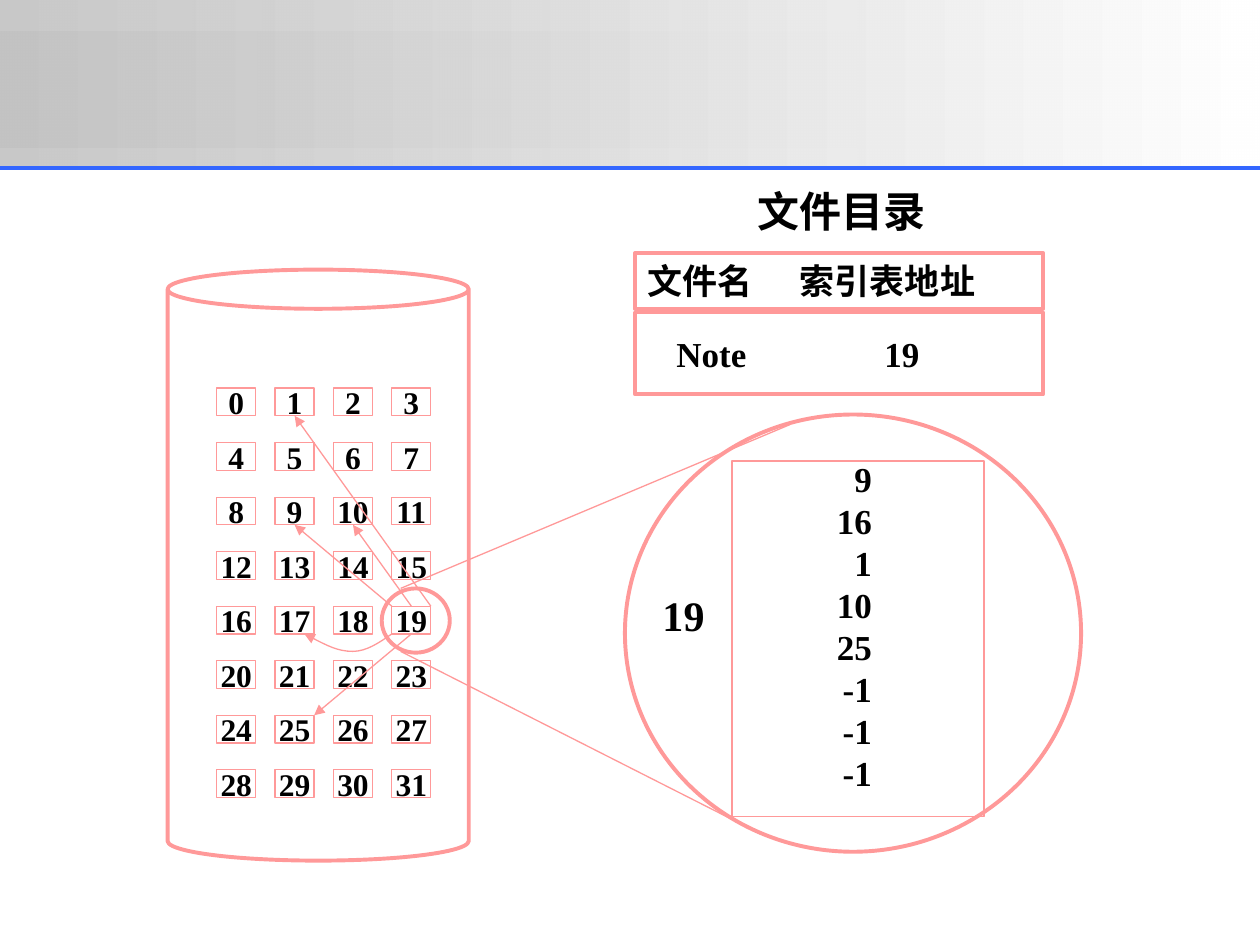
from dataclasses import dataclass
from itertools import product

from lxml.etree import SubElement
from pptx import Presentation
from pptx.dml.color import RGBColor as RGB
from pptx.enum.shapes import MSO_CONNECTOR as LINK, MSO_SHAPE as SHAPE
from pptx.enum.text import MSO_ANCHOR as ANCHOR, MSO_AUTO_SIZE as FIT, PP_ALIGN as ALIGN
from pptx.oxml.ns import qn
from pptx.util import Inches, Pt


@dataclass(frozen=True)
class Theme:
    """Colours, type sizes and line widths of the slide."""
    ink: RGB = RGB(0, 0, 0)
    outline: RGB = RGB(0xFF, 0x99, 0x99)
    rule: RGB = RGB(0x33, 0x66, 0xFF)
    band: RGB = RGB(0xC0, 0xC0, 0xC0)
    paper: RGB = RGB(0xFF, 0xFF, 0xFF)
    font: str = "Times New Roman"
    heading: float = 24
    entry: float = 20
    block: float = 18
    thick: float = 2.25
    thin: float = 0.75


THEME = Theme()
COLUMNS, ROWS = 100, 75
UNIT = Inches(0.1)
BLOCK_COLUMNS, BLOCK_ROWS = 4, 8
BLOCK_WIDTH, BLOCK_HEIGHT = 3.1, 2.2
BLOCK_LEFT, BLOCK_TOP = 17.2, 30.8
COLUMN_PITCH, ROW_PITCH = 13.9 / 3, 30.3 / 7
INDEX_BLOCK = 19
INDEX_ENTRIES = ["9", "16", "1", "10", "25", "-1", "-1", "-1"]


def grid(*cells):
    """Turn grid columns and rows into lengths."""
    return [round(cell * UNIT) for cell in cells]


def apply(target, values):
    """Set every attribute named in a dict of format values."""
    for name, value in values.items():
        setattr(target, name, value)


def style_line(line, color=THEME.outline, width=THEME.thin):
    """Give a line its colour and width."""
    line.color.rgb = color
    line.width = Pt(width)


def add_arrowhead(shape):
    """Put a triangle at the end of a line."""
    SubElement(shape.line._get_or_add_ln(), qn("a:tailEnd"), type="triangle")


def write(paragraph, text, size):
    """Add a bold run to a paragraph."""
    run = paragraph.add_run()
    run.text = text
    apply(run.font, {"name": THEME.font, "size": Pt(size), "bold": True})
    run.font.color.rgb = THEME.ink


def add_outline(slide, kind, box, width=THEME.thin):
    """Add an unfilled preset shape with a coloured outline."""
    shape = slide.shapes.add_shape(kind, *grid(*box))
    shape.shadow.inherit = False
    shape.fill.background()
    style_line(shape.line, width=width)
    return shape


def add_label(slide, text, box, size):
    """Add a one-line text box."""
    label = slide.shapes.add_textbox(*grid(*box))
    write(label.text_frame.paragraphs[0], text, size)
    return label


def set_tab(paragraph, column):
    """Set one left tab stop in a paragraph."""
    stops = SubElement(paragraph._p.get_or_add_pPr(), qn("a:tabLst"))
    SubElement(stops, qn("a:tab"), pos=str(grid(column)[0]), algn="l")


def add_link(slide, start, end, color=THEME.outline, width=THEME.thin):
    """Add a straight line between two grid points."""
    link = slide.shapes.add_connector(LINK.STRAIGHT, *grid(*start, *end))
    style_line(link.line, color, width)
    SubElement(link._element.spPr, qn("a:effectLst"))
    return link


def add_curve(slide, points):
    """Add an open outline whose points are chained cubic curves."""
    first, *others = [grid(*point) for point in points]
    builder = slide.shapes.build_freeform(*first, scale=1.0)
    builder.add_line_segments(others, close=False)
    curve = builder.convert_to_shape()
    outline = next(curve._element.iter(qn("a:path")))
    outline.set("fill", "none")
    steps = outline.findall(qn("a:lnTo"))
    for i in range(0, len(steps), 3):
        bend = SubElement(outline, qn("a:cubicBezTo"))
        for step in steps[i:i + 3]:
            bend.append(step[0])
            outline.remove(step)
    curve.shadow.inherit = False
    curve.fill.background()
    style_line(curve.line)
    return curve


def add_band(slide, box, opacity):
    """Add a band that fades from grey to white."""
    band = slide.shapes.add_shape(SHAPE.RECTANGLE, *grid(*box))
    band.shadow.inherit = False
    band.line.fill.background()
    band.fill.gradient()
    band.fill.gradient_angle = 0
    for stop, color in zip(band.fill.gradient_stops, (THEME.band, THEME.paper)):
        stop.color.rgb = color
    tint = next(band._element.spPr.iter(qn("a:srgbClr")))
    SubElement(tint, qn("a:alpha"), val=str(opacity * 1000))


def block_point(number, across, down):
    """Find a point of a disk block from shares of its width and height."""
    row, column = divmod(number, BLOCK_COLUMNS)
    return (BLOCK_LEFT + column * COLUMN_PITCH + across * BLOCK_WIDTH,
            BLOCK_TOP + row * ROW_PITCH + down * BLOCK_HEIGHT)


def add_header(slide):
    """Draw the fading header and its rule."""
    add_band(slide, (0, 0, COLUMNS, 13.3), 86)
    add_band(slide, (0, 2.5, COLUMNS, 9.2), 59)
    add_link(slide, (0, 13.3), (COLUMNS, 13.3), THEME.rule, THEME.thick)


def add_disk(slide):
    """Draw the disk with its numbered blocks."""
    disk = add_outline(slide, SHAPE.CAN, (13.3, 21.4, 23.9, 46.9), THEME.thick)
    disk.adjustments[0] = 0.13
    for row, column in product(range(BLOCK_ROWS), range(BLOCK_COLUMNS)):
        number = row * BLOCK_COLUMNS + column
        box = (*block_point(number, 0, 0), BLOCK_WIDTH, BLOCK_HEIGHT)
        frame = add_outline(slide, SHAPE.RECTANGLE, box).text_frame
        apply(frame, {"word_wrap": False, "vertical_anchor": ANCHOR.MIDDLE})
        frame.paragraphs[0].alignment = ALIGN.CENTER
        write(frame.paragraphs[0], str(number), THEME.block)


def add_directory(slide):
    """Fill in the file directory and its heading."""
    title = slide.shapes.title
    apply(title, dict(zip(("left", "top", "width", "height"), grid(59.1, 14.2, 16.5, 5))))
    apply(title.text_frame, {"word_wrap": False, "auto_size": FIT.NONE,
                             "vertical_anchor": ANCHOR.TOP})
    title.text_frame.paragraphs[0].alignment = ALIGN.LEFT
    write(title.text_frame.paragraphs[0], "文件目录", THEME.heading)

    names = add_outline(slide, SHAPE.RECTANGLE, (50.4, 20.1, 32.4, 4.4), THEME.thick)
    add_outline(slide, SHAPE.RECTANGLE, (50.4, 24.8, 32.4, 6.5), THEME.thick)
    record = slide.shapes.add_textbox(*grid(52.7, 25.9, 27, 4.4))
    record.text_frame.word_wrap = True
    for holder, text, column in ((names, "文件名\t索引表地址", 12.1),
                                 (record, "Note\t19", 16.5)):
        paragraph = holder.text_frame.paragraphs[0]
        paragraph.alignment = ALIGN.LEFT
        set_tab(paragraph, column)
        write(paragraph, text, THEME.entry)
    names.text_frame.vertical_anchor = ANCHOR.TOP


def add_pointers(slide):
    """Link the index block to the blocks it lists."""
    add_outline(slide, SHAPE.OVAL, (30.3, 46.7, 5.4, 5.1), THEME.thick)
    for start, target, end in (((1, 0), 1, (0.5, 1)), ((0.5, 0), 10, (0.5, 1)),
                               ((0, 0), 9, (0.5, 1)), ((0.5, 1), 25, (1, 0))):
        add_arrowhead(add_link(slide, block_point(INDEX_BLOCK, *start),
                               block_point(target, *end)))
    bend = [(30.1, 51), (29.1, 51.7), (28, 51.7), (26.8, 51.7), (25.5, 51)]
    add_arrowhead(add_curve(slide, [block_point(INDEX_BLOCK, 0, 1), *bend,
                                    block_point(17, 0.75, 1)]))


def add_index_table(slide):
    """Show the enlarged index block and its entries."""
    entries = slide.placeholders[1]
    apply(entries, dict(zip(("left", "top", "width", "height"), grid(62, 35.2, 8.2, 28.4))))
    frame = entries.text_frame
    apply(frame, {"word_wrap": True, "auto_size": FIT.NONE, "margin_top": Inches(0.11),
                  "vertical_anchor": ANCHOR.TOP})
    for i, entry in enumerate(INDEX_ENTRIES):
        paragraph = frame.add_paragraph() if i else frame.paragraphs[0]
        properties = paragraph._p.get_or_add_pPr()
        properties.set("marL", "0")
        properties.set("indent", "0")
        SubElement(properties, qn("a:buNone"))
        apply(paragraph, {"alignment": ALIGN.RIGHT, "space_before": Pt(0),
                          "line_spacing": Pt(24)})
        write(paragraph, entry, THEME.entry)
    add_outline(slide, SHAPE.RECTANGLE, (58.1, 36.6, 20, 28.2))
    add_outline(slide, SHAPE.OVAL, (49.6, 32.9, 36.2, 34.7), THEME.thick)
    add_label(slide, str(INDEX_BLOCK), (51.6, 46.3, 5.3, 5), THEME.heading)
    add_link(slide, (31.8, 46.7), (62.7, 33.7))
    add_link(slide, (31.8, 51.7), (60.4, 66.2))


def main():
    """Build and save the slide."""
    deck = Presentation()
    deck.slide_width, deck.slide_height = grid(COLUMNS, ROWS)
    slide = deck.slides.add_slide(deck.slide_layouts[1])
    for add_part in (add_header, add_disk, add_directory, add_pointers, add_index_table):
        add_part(slide)
    deck.save("out.pptx")


if __name__ == "__main__":
    main()
